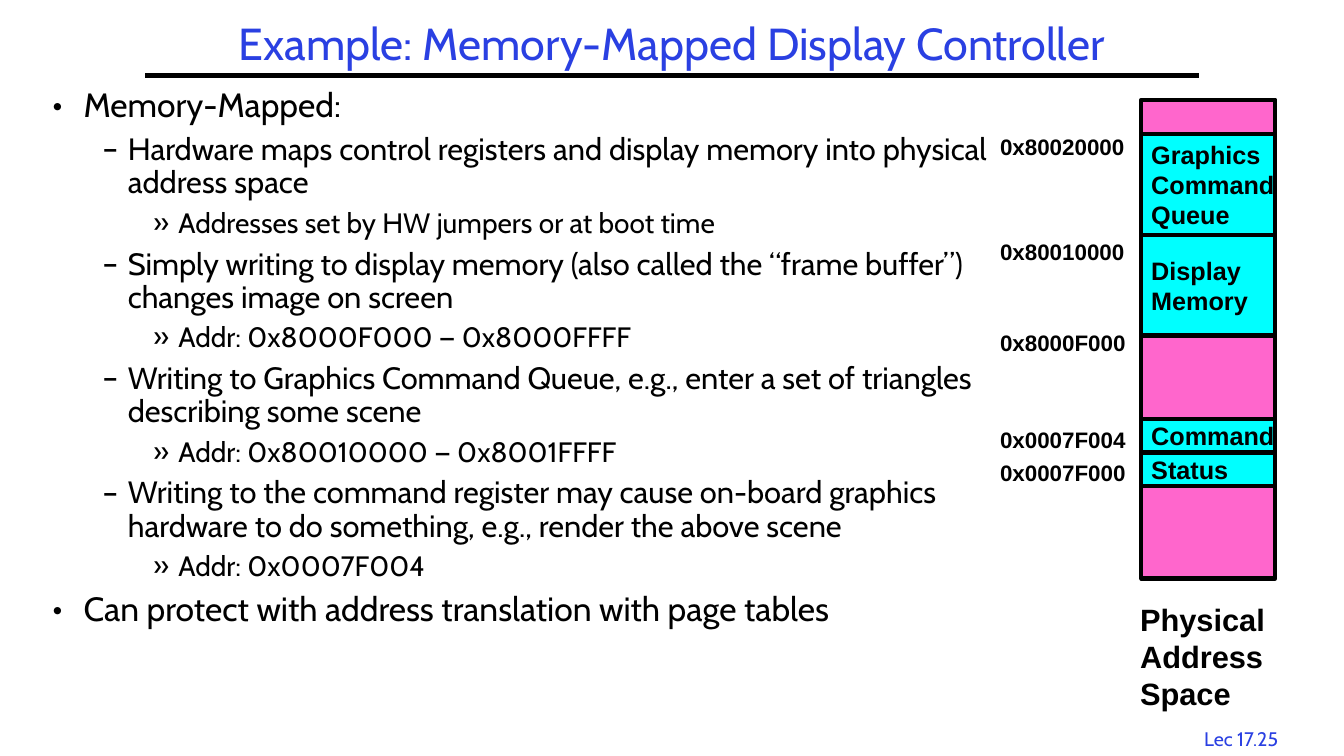
from dataclasses import dataclass

from lxml import etree
from pptx import Presentation
from pptx.dml.color import RGBColor
from pptx.enum.shapes import MSO_CONNECTOR, MSO_SHAPE
from pptx.enum.text import MSO_ANCHOR, MSO_AUTO_SIZE, PP_ALIGN
from pptx.oxml.ns import qn
from pptx.util import Inches, Pt

RECTANGLE = MSO_SHAPE.RECTANGLE
STRAIGHT = MSO_CONNECTOR.STRAIGHT
MIDDLE = MSO_ANCHOR.MIDDLE
CENTER = PP_ALIGN.CENTER
FIT_SHAPE = MSO_AUTO_SIZE.SHAPE_TO_FIT_TEXT


@dataclass(frozen=True)
class Theme:
    blue: RGBColor = RGBColor(0x2A, 0x40, 0xE2)
    black: RGBColor = RGBColor(0, 0, 0)
    pink: RGBColor = RGBColor(0xFF, 0x66, 0xCC)
    cyan: RGBColor = RGBColor(0, 0xFF, 0xFF)
    text_font: str = "Cabin"
    map_font: str = "Arial"
    title_size: int = 32
    outline_sizes: tuple = (24, 22, 20)
    caption_size: int = 22
    region_size: int = 18
    address_size: int = 16
    footer_size: int = 14
    line_width: int = 3


theme = Theme()


def style_paragraph(paragraph, font_name, size, color, bold=False, indent=None, bullet=None):
    """Format a paragraph; indent is (left margin, hanging indent) in inches."""
    if indent:
        properties = paragraph._p.get_or_add_pPr()
        left, hanging = indent
        properties.set("marL", str(Inches(left)))
        properties.set("indent", str(-Inches(hanging)))
        if bullet:
            etree.SubElement(properties, qn("a:buFont")).set("typeface", font_name)
            etree.SubElement(properties, qn("a:buChar")).set("char", bullet)
    for run in paragraph.runs:
        run.font.name = font_name
        run.font.size = Pt(size)
        run.font.bold = bold
        run.font.color.rgb = color


def add_map_label(left, top, width, height, text, size):
    label = slide.shapes.add_textbox(Inches(left), Inches(top), Inches(width), Inches(height))
    frame = label.text_frame
    frame.text = text
    frame.word_wrap = False
    frame.auto_size = FIT_SHAPE
    for line in frame.paragraphs:
        style_paragraph(line, theme.map_font, size, theme.black, True, (0.25, 0.25))


prs = Presentation()
prs.slide_width = Inches(13.33)
prs.slide_height = Inches(7.5)
slide = prs.slides.add_slide(prs.slide_layouts[6])

# Footer, title and rule
footer = slide.shapes.add_textbox(Inches(11.77), Inches(7.16), Inches(1.08), Inches(0.33)).text_frame
footer.text = "Lec 17.25"
footer.word_wrap = False
footer.auto_size = FIT_SHAPE
footer.paragraphs[0].alignment = CENTER
style_paragraph(footer.paragraphs[0], theme.text_font, theme.footer_size, theme.blue)

title_rule = slide.shapes.add_connector(STRAIGHT, Inches(1.44), Inches(0.75), Inches(11.89), Inches(0.75))
title_rule.line.color.rgb = theme.black
title_rule.line.width = Pt(theme.line_width)
etree.SubElement(title_rule._element.spPr, qn("a:effectLst"))

title = slide.shapes.add_textbox(Inches(1.83), Inches(0.17), Inches(9.67), Inches(0.58)).text_frame
title.text = "Example: Memory-Mapped Display Controller"
title.word_wrap = True
title.vertical_anchor = MIDDLE
title.paragraphs[0].alignment = CENTER
title.paragraphs[0].line_spacing = 0.9
style_paragraph(title.paragraphs[0], theme.text_font, theme.title_size, theme.blue)

# Outline
outline = [
    (0, "Memory-Mapped:"),
    (1, "Hardware maps control registers and display memory into physical address space"),
    (2, "Addresses set by HW jumpers or at boot time"),
    (1, "Simply writing to display memory (also called the “frame buffer”) changes image on screen"),
    (2, "Addr: 0x8000F000 — 0x8000FFFF"),
    (1, "Writing to Graphics Command Queue, e.g., enter a set of triangles describing some scene"),
    (2, "Addr: 0x80010000 — 0x8001FFFF"),
    (1, "Writing to the command register may cause on-board graphics hardware to do something, "
        "e.g., render the above scene"),
    (2, "Addr: 0x0007F004"),
    (0, "Can protect with address translation with page tables"),
]
level_indents = [(0.31, 0.31), (0.75, 0.25), (1.25, 0.25)]
level_bullets = "•–»"

body = slide.shapes.add_textbox(Inches(0.42), Inches(0.83), Inches(9.59), Inches(6.42)).text_frame
body.word_wrap = True
body.text = "\n".join(text for _, text in outline)
for index, (level, _) in enumerate(outline):
    point = body.paragraphs[index]
    size = theme.outline_sizes[level]
    point.level = level
    point.line_spacing = 0.9
    if index:
        point.space_before = Pt(0.3 * size)
    style_paragraph(point, theme.text_font, size, theme.black,
                    indent=level_indents[level], bullet=level_bullets[level])

# Physical address space: the whole range first, then the mapped regions on top
memory_left, memory_width = 11.32, 1.33
regions = [
    (0.99, 4.75, theme.pink, ""),
    (1.33, 1, theme.cyan, "Graphics\nCommand\nQueue"),
    (2.33, 1, theme.cyan, "Display\nMemory"),
    (4.16, 0.33, theme.cyan, "Command"),
    (4.49, 0.33, theme.cyan, "Status"),
]
for top, height, color, text in regions:
    region = slide.shapes.add_shape(RECTANGLE, Inches(memory_left), Inches(top),
                                    Inches(memory_width), Inches(height))
    region.shadow.inherit = False
    region.fill.solid()
    region.fill.fore_color.rgb = color
    region.line.color.rgb = theme.black
    region.line.width = Pt(theme.line_width)
    if text:
        frame = region.text_frame
        frame.text = text
        frame.word_wrap = False
        frame.vertical_anchor = MIDDLE
        for line in frame.paragraphs:
            line.alignment = PP_ALIGN.LEFT
            style_paragraph(line, theme.map_font, theme.region_size, theme.black, True, (0.25, 0.25))

addresses = [
    (1.27, "0x80020000"),
    (2.31, "0x80010000"),
    (3.22, "0x8000F000"),
    (4.18, "0x0007F004"),
    (4.51, "0x0007F000"),
]
for top, address in addresses:
    add_map_label(9.82, top, 1.45, 0.37, address, theme.address_size)

add_map_label(11.21, 5.91, 1.54, 1.21, "Physical\nAddress\nSpace", theme.caption_size)

prs.save("out.pptx")
